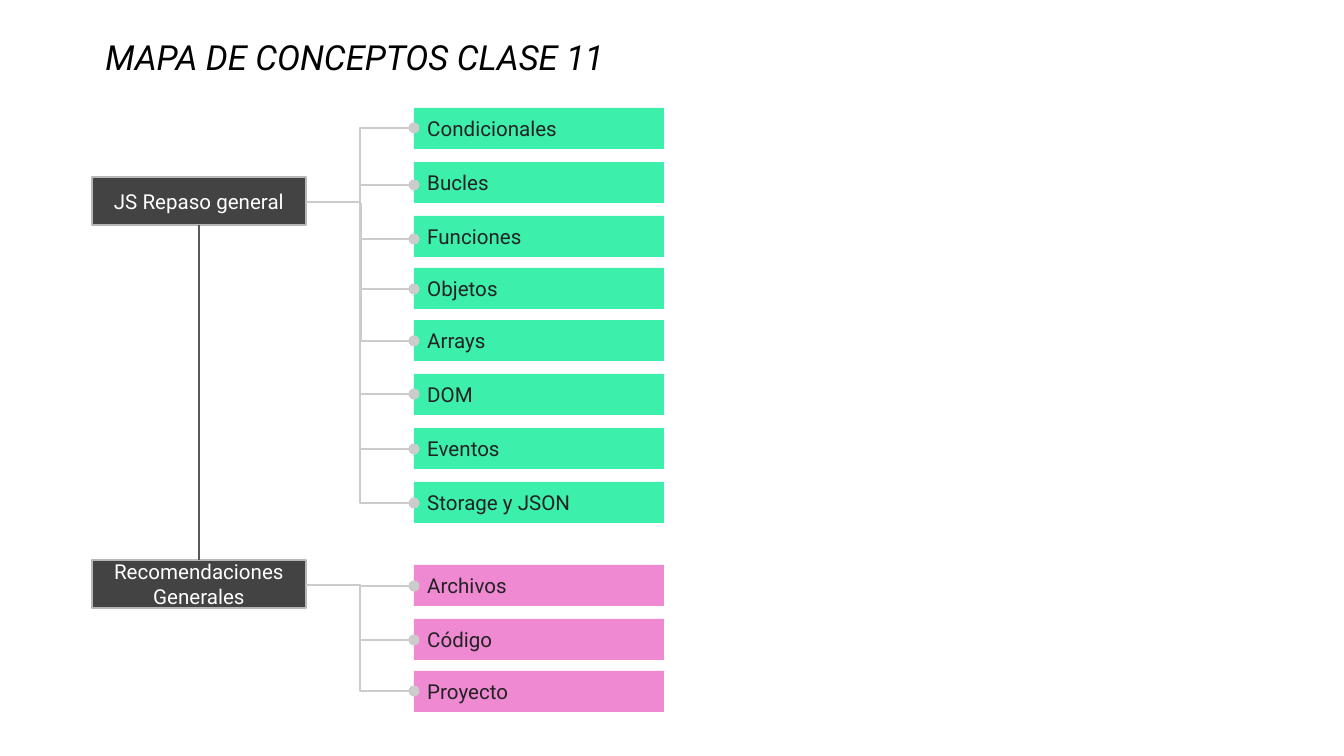
import pptx
import pptx.dml.color
import pptx.enum.shapes
import pptx.enum.text
import pptx.oxml.ns
import pptx.util
from lxml import etree

PX = 914400 / 134.4  # EMU in one px
FONT = "Roboto"
ROOT_LEFT, ROOT_WIDTH, ROOT_HEIGHT = 92, 214, 48
TOPIC_LEFT, TOPIC_WIDTH, TOPIC_HEIGHT = 414, 250, 41
qn = pptx.oxml.ns.qn
rgb = pptx.dml.color.RGBColor.from_string
Connector = pptx.enum.shapes.MSO_CONNECTOR
Align = pptx.enum.text.PP_ALIGN
Anchor = pptx.enum.text.MSO_ANCHOR


def px(*lengths):
    return [round(length * PX) for length in lengths]


def write(shape, text, size, color, align, anchor):
    frame = shape.text_frame
    frame.text = text
    frame.word_wrap = True
    frame.auto_size = pptx.enum.text.MSO_AUTO_SIZE.NONE
    frame.vertical_anchor = anchor
    frame.margin_left = frame.margin_right = pptx.util.Inches(0.1)
    frame.margin_top = frame.margin_bottom = pptx.util.Inches(0.1)
    paragraph = frame.paragraphs[0]
    paragraph.alignment = align
    font = paragraph.runs[0].font
    font.name = FONT
    font.size = pptx.util.Pt(size)
    font.color.rgb = rgb(color)


presentation = pptx.Presentation()
presentation.slide_width, presentation.slide_height = px(1344, 756)
slide = presentation.slides.add_slide(presentation.slide_layouts[5])
shapes = slide.shapes

# Title
title = shapes.title
title.left, title.top, title.width, title.height = px(92, 30, 1044, 62)
write(title, "MAPA DE CONCEPTOS CLASE 11", 18.5, "000000", Align.LEFT, Anchor.TOP)
title.text_frame.paragraphs[0].line_spacing = 0.8
title.text_frame.paragraphs[0].runs[0].font.italic = True

# Each group: root text, root top, topic colour, topics as (text, top, dot height)
groups = [
    ("JS Repaso general", 177, "3CEFAB", [
        ("Condicionales", 108, 128), ("Bucles", 162, 185),
        ("Funciones", 216, 239), ("Objetos", 268, 289),
        ("Arrays", 320, 341), ("DOM", 374, 394),
        ("Eventos", 428, 449), ("Storage y JSON", 482, 503)]),
    ("Recomendaciones Generales", 560, "EF89D2", [
        ("Archivos", 565, 586), ("Código", 619, 640), ("Proyecto", 671, 691)]),
]

# Boxes, and the lines that are to be drawn: kind, ends, colour
links = []
for root_text, root_top, topic_color, topics in groups:
    boxes = [(root_text, ROOT_LEFT, root_top, ROOT_WIDTH, ROOT_HEIGHT, "434343", "FFFFFF", Align.CENTER)]
    for text, top, dot in topics:
        boxes.append((text, TOPIC_LEFT, top, TOPIC_WIDTH, TOPIC_HEIGHT, topic_color, "222222", Align.LEFT))
        start = (ROOT_LEFT + ROOT_WIDTH, root_top + ROOT_HEIGHT // 2 + 1)
        if text == "Arrays":
            start = (361, 203)  # branches off the shared trunk
        links.append((Connector.ELBOW, start, (TOPIC_LEFT, dot), "CCCCCC"))

    for text, left, top, width, height, fill, color, align in boxes:
        box = shapes.add_shape(pptx.enum.shapes.MSO_SHAPE.RECTANGLE, *px(left, top, width, height))
        box.shadow.inherit = False
        box.fill.solid()
        box.fill.fore_color.rgb = rgb(fill)
        if text == root_text:
            box.line.color.rgb = rgb("B7B7B7")
            box.line.width = pptx.util.Pt(0.75)
        else:
            box.line.fill.background()
        write(box, text, 11, color, align, Anchor.MIDDLE)

# Line between the two roots
root_center = ROOT_LEFT + ROOT_WIDTH // 2
links.append((Connector.STRAIGHT, (root_center, groups[0][1] + ROOT_HEIGHT),
              (root_center, groups[1][1]), "595959"))

# Connectors; the elbows end in a dot
for kind, start, end, color in links:
    connector = shapes.add_connector(kind, *px(*start, *end))
    connector.line.color.rgb = rgb(color)
    connector.line.width = pptx.util.Pt(0.75)
    properties = connector._element.spPr
    etree.SubElement(properties, qn("a:effectLst"))
    if kind == Connector.ELBOW:
        etree.SubElement(properties.find(qn("a:ln")), qn("a:tailEnd"), type="oval")
        # Bend halfway, or at once when starting on the trunk
        bend = 0 if start[0] > ROOT_LEFT + ROOT_WIDTH else 50000
        guides = properties.find(qn("a:prstGeom")).get_or_add_avLst()
        etree.SubElement(guides, qn("a:gd"), name="adj1", fmla=f"val {bend}")

presentation.save("out.pptx")
